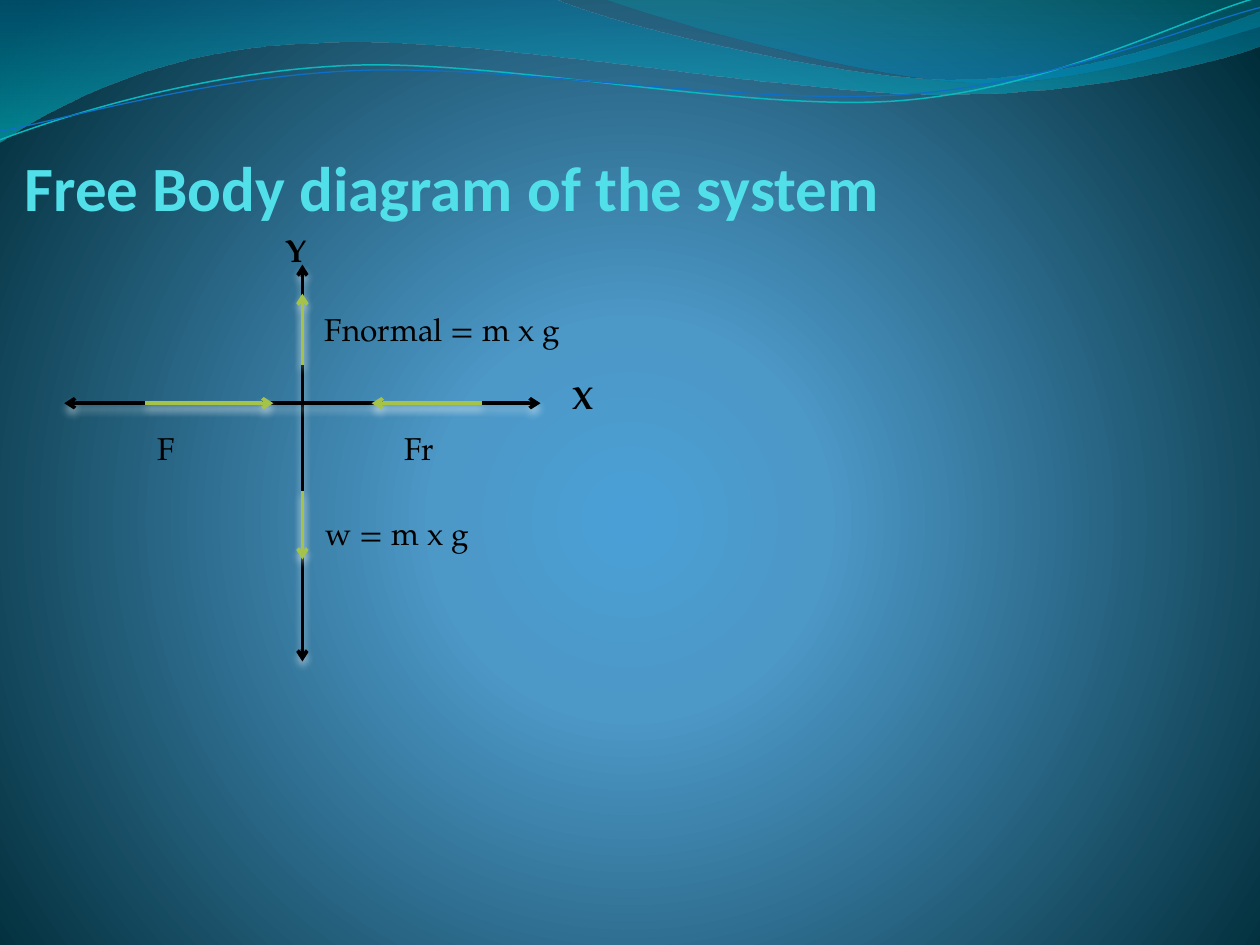
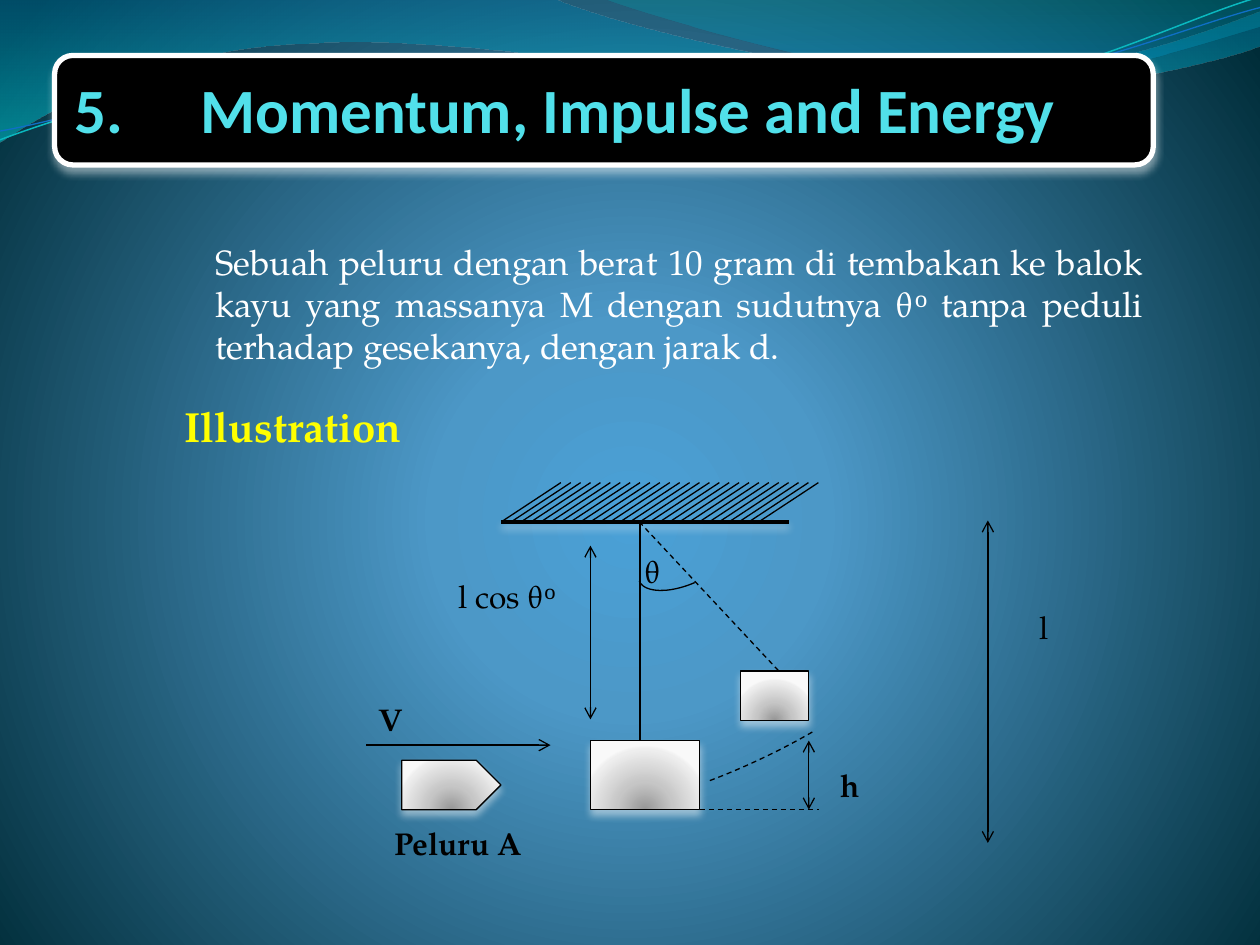
from dataclasses import dataclass

from lxml import etree
from pptx import Presentation
from pptx import util as u
from pptx.dml.color import RGBColor
from pptx.enum import dml, shapes, text
from pptx.oxml.ns import qn

Pt = u.Pt
BLACK, WHITE, YELLOW, CYAN, GREEN = "000000", "FFFFFF", "FFFF00", "51E0EA", "A5C249"
GLOW = "FFFFFF"
HEADING_FONT, BODY_FONT = "Calibri", "TeX Gyre Pagella"
THIN, THICK = 0.75, 2
KIND = shapes.MSO_SHAPE


@dataclass(frozen=True)
class Gradient:
    stops: tuple  # (position %, colour, opacity %)
    focus: tuple = ()  # left, top, right, bottom in %; empty for a vertical blend


@dataclass(frozen=True)
class Wave:
    start: tuple
    segments: tuple  # two numbers: line; six numbers: cubic curve
    fill: Gradient | None = None
    line: str = ""
    width: float = THIN


@dataclass(frozen=True)
class Label:
    words: str
    left: float
    top: float
    width: float
    height: float = 29
    size: float = 18
    colour: str = BLACK
    bold: bool = False
    justify: bool = False


@dataclass(frozen=True)
class Stroke:
    start: tuple
    end: tuple
    colour: str = BLACK
    width: float = THIN
    heads: int = 0  # 1: at the end, 2: at both ends
    dashed: bool = False
    shadow: str = ""


@dataclass(frozen=True)
class Solid:
    kind: KIND
    left: float
    top: float
    width: float
    height: float
    fill: Gradient | str = ""
    line: str = BLACK
    line_width: float = THIN
    shadow: str = ""
    rotation: float = 0
    angles: tuple = ()
    dashed: bool = False


BACKDROP = Gradient(((0, "4AA0D6", 100), (25, "4C98C7", 100), (100, "002C38", 100)),
                    (10, 110, 10, 100))
METAL = Gradient(((0, "979797", 100), (43, "C6C6C6", 100), (93, "EEEEEE", 100),
                  (100, "F9F9F9", 100)), (50, 130, 50, -30))
WAVES = (
    Wave((0, 0), ((316.8, -0.7), (342.7, 12.2, 478.1, 45.4, 545.8, 45.4),
                  (614.2, 45.4, 689.8, 18.7, 720, 6.5), (720.7, 25.9),
                  (707.8, 31.7, 626.4, 54.7, 537.1, 54),
                  (447.8, 54, 275, 20.2, 185, 24.5),
                  (92.9, 25.9, 33.1, 59.8, -0.7, 81.4)),
         fill=Gradient(((0, "0074A1", 45), (100, "00C6CF", 55)))),
    Wave((344.9, -0.7), ((366.5, 7.9, 491, 44.6, 553.7, 46.8),
                         (616.3, 49.7, 691.9, 23, 720, 15.1), (720, 0)),
         fill=Gradient(((0, "00A1A9", 30), (80, "008BBF", 45)))),
    Wave((0, 79.9), ((34.6, 67, 113.8, 41, 199.4, 37.4),
                     (284.4, 33.8, 427, 64.1, 513.4, 57.6),
                     (599.8, 51.1, 675.4, 10.8, 718.6, -1.4)),
         line="0AB8BF", width=0.85),
    Wave((0, 74.9), ((33.8, 69.1, 118.1, 43.9, 203.8, 40.3),
                     (290.2, 36.7, 429.8, 60.5, 516.2, 54),
                     (601.9, 48.2, 677.5, 15.1, 720, 4.3)),
         line="0F6FC6"),
)


def rgb(colour: str) -> RGBColor:
    return RGBColor.from_string(colour)


def add_node(parent, tag: str, **attributes):
    values = {name: str(value) for name, value in attributes.items()}
    return etree.SubElement(parent, qn(tag), values)


def apply_gradient(owner, fill, gradient: Gradient) -> None:
    """Swap the owner's solid fill for a gradient."""
    fill.solid()
    solid = owner.element.find(".//" + qn("a:solidFill"))
    blend = etree.Element(qn("a:gradFill"), rotWithShape="1")
    stops = add_node(blend, "a:gsLst")
    for position, colour, opacity in gradient.stops:
        stop = add_node(stops, "a:gs", pos=position * 1000)
        tint = add_node(stop, "a:srgbClr", val=colour)
        if opacity < 100:
            add_node(tint, "a:alpha", val=opacity * 1000)
    if gradient.focus:
        route = add_node(blend, "a:path", path="circle")
        add_node(route, "a:fillToRect",
                 **{side: share * 1000 for side, share in zip("ltrb", gradient.focus)})
    else:
        add_node(blend, "a:lin", ang=5400000, scaled=1)
    solid.getparent().replace(solid, blend)


def style_line(shape, colour: str, width: float, dashed: bool = False) -> None:
    shape.line.color.rgb = rgb(colour)
    shape.line.width = Pt(width)
    if dashed:
        shape.line.dash_style = dml.MSO_LINE.DASH


def set_shadow(shape, colour: str) -> None:
    """Give a soft downward shadow, or none when the colour is empty."""
    effects = add_node(shape.element.spPr, "a:effectLst")
    if colour:
        shadow = add_node(effects, "a:outerShdw", blurRad=Pt(4.5), dist=Pt(3),
                          dir=5400000, rotWithShape=0)
        add_node(add_node(shadow, "a:srgbClr", val=colour), "a:alpha", val=48000)


def bend_segments(shape, segments: tuple) -> None:
    """Join each run of three straight steps that stands for a cubic curve."""
    steps = iter(shape.element.findall(".//" + qn("a:lnTo")))
    for segment in segments:
        first = next(steps)
        if len(segment) == 6:
            first.tag = qn("a:cubicBezTo")
            for _ in range(2):
                step = next(steps)
                first.append(step[0])
                step.getparent().remove(step)


def draw_wave(page, wave: Wave) -> None:
    points = [(Pt(x), Pt(y)) for segment in wave.segments
              for x, y in zip(segment[::2], segment[1::2])]
    builder = page.shapes.build_freeform(*map(Pt, wave.start))
    builder.add_line_segments(points, close=wave.fill is not None)
    shape = builder.convert_to_shape()
    bend_segments(shape, wave.segments)
    if wave.fill:
        apply_gradient(shape, shape.fill, wave.fill)
        shape.line.fill.background()
    else:
        shape.fill.background()
        style_line(shape, wave.line, wave.width)
    set_shadow(shape, "")


def draw_solid(page, solid: Solid) -> None:
    shape = page.shapes.add_shape(
        solid.kind, *map(Pt, (solid.left, solid.top, solid.width, solid.height)))
    shape.rotation = solid.rotation
    for index, angle in enumerate(solid.angles):
        shape.adjustments[index] = angle
    if isinstance(solid.fill, Gradient):
        apply_gradient(shape, shape.fill, solid.fill)
    elif solid.fill:
        shape.fill.solid()
        shape.fill.fore_color.rgb = rgb(solid.fill)
    else:
        shape.fill.background()
    style_line(shape, solid.line, solid.line_width, solid.dashed)
    set_shadow(shape, solid.shadow)


def draw_stroke(page, stroke: Stroke) -> None:
    line = page.shapes.add_connector(shapes.MSO_CONNECTOR.STRAIGHT,
                                     *map(Pt, stroke.start + stroke.end))
    style_line(line, stroke.colour, stroke.width, stroke.dashed)
    outline = line.element.spPr.find(qn("a:ln"))
    if stroke.heads == 2:
        add_node(outline, "a:headEnd", type="arrow")
    if stroke.heads:
        add_node(outline, "a:tailEnd", type="arrow")
    set_shadow(line, stroke.shadow)


def draw_label(page, label: Label, font: str = BODY_FONT):
    box = page.shapes.add_textbox(
        *map(Pt, (label.left, label.top, label.width, label.height)))
    frame = box.text_frame
    frame.word_wrap = True
    frame.text = label.words
    para = frame.paragraphs[0]
    if label.justify:
        para.alignment = text.PP_ALIGN.JUSTIFY
    for span in para.runs:
        span.font.name = font
        span.font.size = Pt(label.size)
        span.font.bold = label.bold
        span.font.color.rgb = rgb(label.colour)
    return frame


def draw_title(page, words: str, left: float, top: float, width: float, height: float) -> None:
    frame = draw_label(page, Label(words, left, top, width, height, 36, CYAN, True), HEADING_FONT)
    frame.vertical_anchor = text.MSO_ANCHOR.BOTTOM
    frame.margin_left = frame.margin_top = frame.margin_bottom = 0
    frame.margin_right = Pt(1.5)
    # Tab stop after the chapter number
    properties = frame.paragraphs[0].runs[0].font and frame.paragraphs[0]._p.get_or_add_pPr()
    add_node(add_node(properties, "a:tabLst"), "a:tab", pos=Pt(72), algn="l")


def new_page(deck):
    page = deck.slides.add_slide(deck.slide_layouts[6])
    apply_gradient(page, page.background.fill, BACKDROP)
    for wave in WAVES:
        draw_wave(page, wave)
    return page


def draw_all(page, solids=(), strokes=(), labels=()) -> None:
    for solid in solids:
        draw_solid(page, solid)
    for stroke in strokes:
        draw_stroke(page, stroke)
    for label in labels:
        draw_label(page, label)


def build_free_body(deck) -> None:
    page = new_page(deck)
    draw_title(page, "Free Body diagram of the system", 14, 54.7, 516, 73.4)
    axis_x, axis_y = 172.8, 230.4
    axes = [Stroke(start, end, width=THICK, heads=2, shadow=GLOW) for start, end in (
        ((axis_x, 151.2), (axis_x, 378)),
        ((36.7, axis_y), (308.9, axis_y)))]
    forces = [Stroke(start, end, GREEN, THICK, heads=1, shadow=GLOW) for start, end in (
        ((82.8, axis_y), (156.2, axis_y)),
        ((275.3, axis_y), (212.4, axis_y)),
        ((axis_x, 280.8), (axis_x, 319.7)),
        ((axis_x, 208.4), (axis_x, 167.8)))]
    draw_all(page, strokes=axes + forces, labels=(
        Label("X", 320.1, 212.4, 31, bold=True),
        Label("Y", 156.2, 128.2, 34, bold=True),
        Label("Fnormal = m x g", 178.4, 173.5, 227),
        Label("w = m x g", 179, 290.2, 113),
        Label("Fr", 223.9, 241.6, 51),
        Label("F", 82.8, 241.6, 61)))


def build_momentum(deck) -> None:
    page = new_page(deck)
    draw_solid(page, Solid(KIND.ROUNDED_RECTANGLE, 31.2, 31.7, 627.8, 62.6, BLACK, WHITE, 3, GLOW))
    draw_title(page, "5.\tMomentum, Impulse and Energy", 42.5, 15.1, 612, 68.4)

    # Ceiling with evenly spaced hatching
    ceiling, hatch_left, hatch_step = 298.2, 286.5, 5.66
    hatching = [Stroke((hatch_left + i * hatch_step, ceiling),
                       (hatch_left + i * hatch_step + 34, 275.8)) for i in range(27)]
    beam = Stroke((hatch_left, ceiling), (450.7, ceiling), width=THICK, shadow=GLOW)

    # Pendulum block at rest and swung out, the bullet, the swing and the angle
    solids = (
        Solid(KIND.RECTANGLE, 337.5, 423.2, 62.3, 39.4, METAL, shadow=GLOW),
        Solid(KIND.PENTAGON, 229.6, 434.4, 56.7, 28.3, METAL, shadow=GLOW),
        Solid(KIND.RECTANGLE, 423.2, 383.4, 39, 28.3, METAL, shadow=GLOW),
        Solid(KIND.ARC, 359.3, 242.6, 103, 290.9, rotation=65.1,
              angles=(194.68, 18.18), dashed=True),
        Solid(KIND.ARC, 362.9, 307.4, 57.6, 26.6, rotation=156.7))
    strings = [
        Stroke((365.8, ceiling), (365.8, 423.2)),
        Stroke((365.3, ceiling), (445, 383.4), dashed=True),
        Stroke((399.8, 462.6), (468, 462.6), dashed=True)]
    measures = [
        Stroke((462.2, 423.2), (462.2, 462.6), heads=2),
        Stroke((337.4, 311.8), (337.4, 411.1), heads=2),
        Stroke((564.5, 297.4), (564.5, 481.7), heads=2),
        Stroke((209.2, 425.8), (314.6, 425.8), heads=1)]
    draw_all(page, solids, [beam] + hatching + strings + measures, (
        Label("Sebuah peluru dengan berat 10 gram di tembakan ke balok kayu yang massanya M "
              "dengan sudutnya θᵒ tanpa peduli terhadap gesekanya, dengan jarak d. ",
              116, 133.9, 544.6, 80, 20, WHITE, justify=True),
        Label("Illustration", 98.3, 225.4, 532.8, 269.3, 24, YELLOW, True),
        Label("Peluru A", 218.2, 467.3, 91, bold=True),
        Label("V", 209.5, 396.7, 91, bold=True),
        Label("h", 473, 434.2, 28, bold=True),
        Label("θ", 361.4, 311.8, 24),
        Label("l cos θᵒ", 254.9, 326.2, 77),
        Label("l", 586.8, 343.9, 28)))


def main() -> None:
    deck = Presentation()
    deck.slide_width, deck.slide_height = Pt(720), Pt(540)
    build_free_body(deck)
    build_momentum(deck)
    deck.save("out.pptx")


if __name__ == "__main__":
    main()
